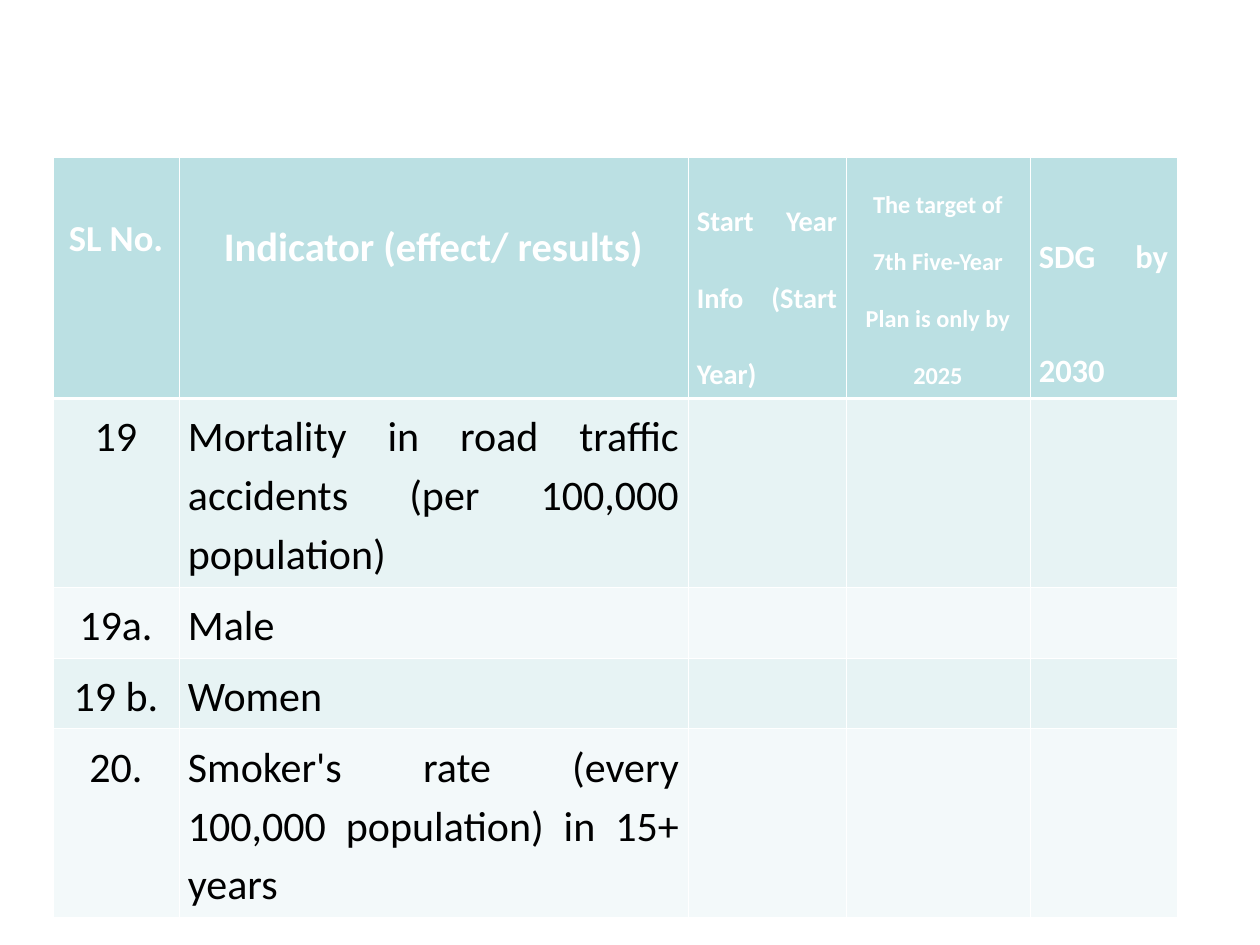
from lxml import etree
from pptx import Presentation, util as u
from pptx.dml.color import RGBColor
from pptx.enum.text import PP_ALIGN as al
from pptx.oxml.ns import qn

# Content: header cells as text, size, alignment, line spacing
HEAD = [
    ("SL No.", 36, al.CENTER, 1.15),
    ("Indicator (effect/ results)", 40, al.CENTER, 1.15),
    ("Start Year Info (Start Year)", 28, al.JUSTIFY, 1.15),
    ("The target of 7th Five-Year Plan is only by 2025", 24, al.CENTER, 1),
    ("SDG by 2030", 32, al.JUSTIFY, 1.5),
]
BODY = [
    ("19", "Mortality in road traffic accidents (per 100,000 population)"),
    ("19a.", "Male"),
    ("19 b.", "Women"),
    ("20.", "Smoker's rate (every 100,000 population) in 15+ years"),
]
COLS = [126, 509, 158, 184, 147]
ROWS = [231, 174, 69, 69, 174]
LEFT, TOP = 53, 157
FILLS = ["E7F3F4", "F3F9FA"]
THIN, THICK = 0.45, 1.47


def px(n):
    return u.Emu(round(n * 914400 / 126))


def rgb(code):
    return RGBColor.from_string(code)


def border(cell, widths):
    props = cell._tc.get_or_add_tcPr()
    for i, (side, width) in enumerate(widths.items()):
        line = etree.Element(qn("a:ln" + side), w=str(u.Pt(width)))
        fill = etree.SubElement(line, qn("a:solidFill"))
        etree.SubElement(fill, qn("a:srgbClr"), val="FFFFFF")
        props.insert(i, line)


def write(cell, words, size, align, gap, color, head):
    cell.text_frame.text = words
    para = cell.text_frame.paragraphs[0]
    para.alignment, para.line_spacing = align, gap
    run = para.runs[0]
    font = run.font
    font.name, font.size, font.bold = "Calibri", u.Pt(size), head
    font.color.rgb = rgb(color)
    if head:  # header text is set as subscript
        run._r.get_or_add_rPr().set("baseline", "-25000")


deck = Presentation()
deck.slide_width, deck.slide_height = px(1260), px(945)
slide = deck.slides.add_slide(deck.slide_layouts[6])

# Table grid
table = slide.shapes.add_table(len(ROWS), len(COLS), px(LEFT), px(TOP),
                               px(sum(COLS)), px(sum(ROWS))).table
for col, wide in zip(table.columns, COLS):
    col.width = px(wide)
for row, high in zip(table.rows, ROWS):
    row.height = px(high)

# Cell fills, margins and borders
for r, row in enumerate(table.rows):
    for cell in row.cells:
        cell.margin_left = cell.margin_right = px(9)
        cell.margin_top = cell.margin_bottom = px(6)
        cell.fill.solid()
        cell.fill.fore_color.rgb = rgb(FILLS[(r - 1) % 2] if r else "BBE0E3")
        border(cell, {"L": THIN, "R": THIN,
                      "T": THICK if r == 1 else THIN,
                      "B": THICK if r == 0 else THIN})

# Header and body text
for c, (words, size, align, gap) in enumerate(HEAD):
    write(table.cell(0, c), words, size, align, gap, "FFFFFF", True)
for r, pair in enumerate(BODY, 1):
    for c, (words, align) in enumerate(zip(pair, (al.CENTER, al.JUSTIFY))):
        write(table.cell(r, c), words, 24, align, 1.15, "000000", False)

deck.save("out.pptx")
